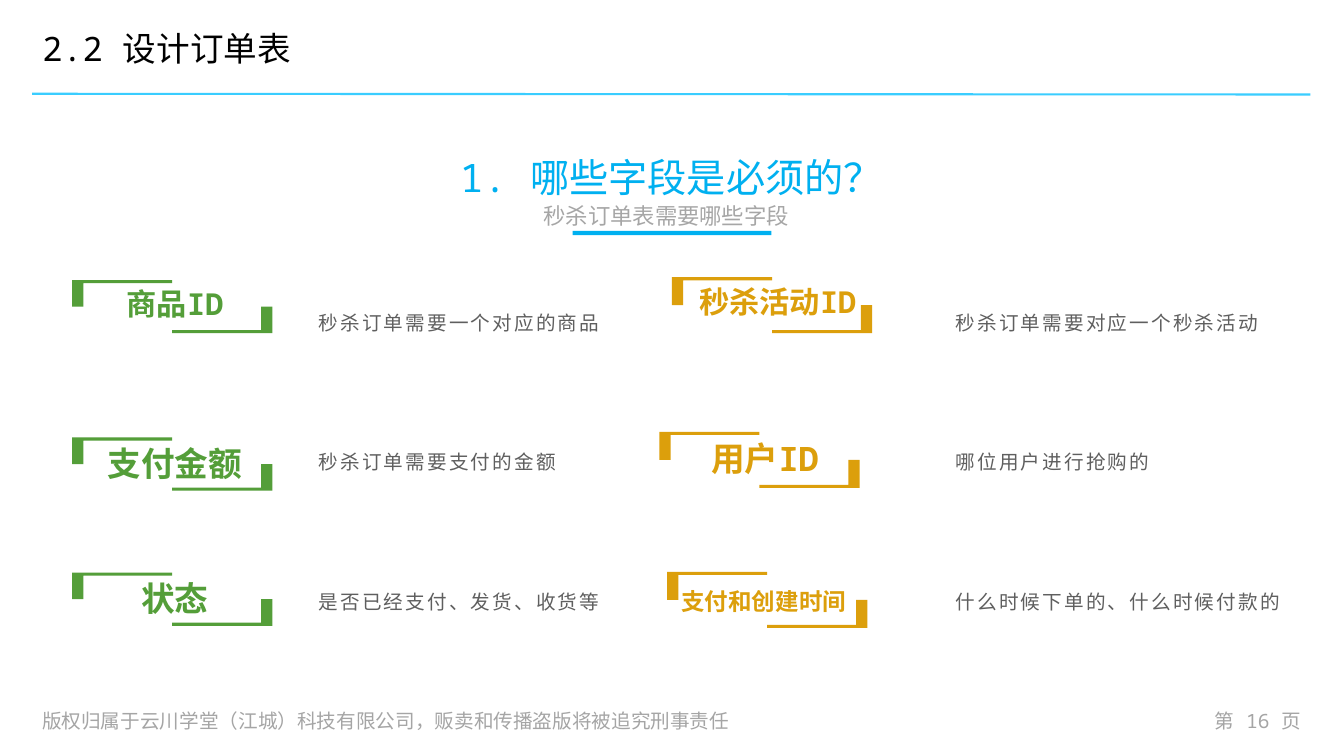
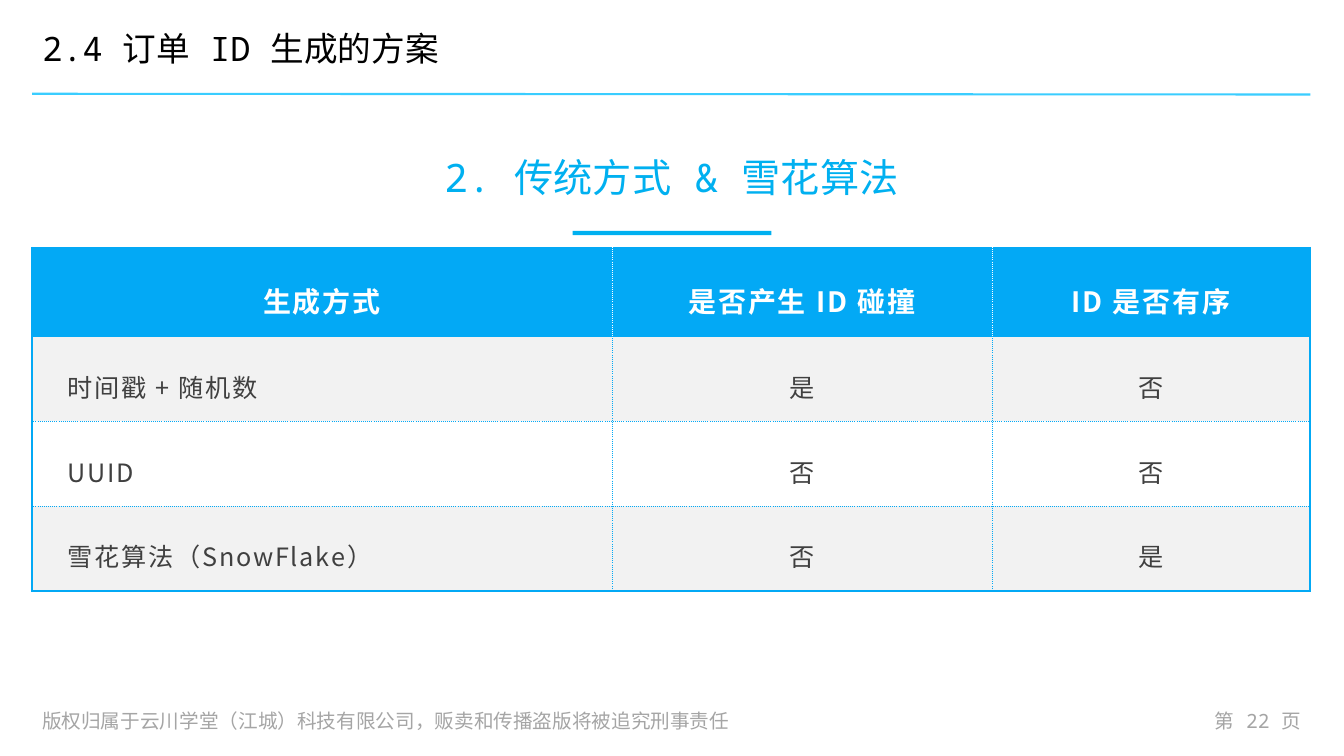
from lxml import etree
from pptx import Presentation
from pptx.dml.color import RGBColor
from pptx.enum.shapes import MSO_CONNECTOR, MSO_SHAPE
from pptx.enum.text import MSO_ANCHOR, MSO_AUTO_SIZE, PP_ALIGN
from pptx.oxml.ns import qn
from pptx.util import Pt

LEFT, MID, RIGHT = PP_ALIGN.LEFT, PP_ALIGN.CENTER, PP_ALIGN.RIGHT
TOP, HALF, LOW = MSO_ANCHOR.TOP, MSO_ANCHOR.MIDDLE, MSO_ANCHOR.BOTTOM
FIT = MSO_AUTO_SIZE.NONE
RECT, LINE = MSO_SHAPE.RECTANGLE, MSO_CONNECTOR.STRAIGHT

MONO, SANS, ARIAL = "Noto Sans Mono", "Noto Sans CJK SC", "Arial"
WHITE, BLACK, GREY, DARK = "FFFFFF", "000000", "A5A5A5", "404040"
CYAN, SKY, BLUE = "00B0F0", "3ACDFF", "03A9F5"
GREEN, GOLD = "549E39", "DC9F0C"

EDGE, WIDE = 23, 913
FOOT = "版权归属于云川学堂（江城）科技有限公司，贩卖和传播盗版将被追究刑事责任"

TITLE = {"face": MONO, "size": 28, "tint": CYAN, "align": MID, "lead": 0.9}
HEAD = {"face": MONO, "size": 24, "tint": BLACK, "lead": 0.9, "gap": 10}
SUB = {"face": MONO, "size": 16, "tint": "A6A6A6", "align": MID, "lead": 0.9, "gap": 10}
NOTE = {"face": MONO, "size": 14, "tint": GREY}
DESC = {"face": ARIAL, "size": 14, "tint": "5F5F5F", "lead": 1.2, "track": 1.5}
CELL = {"face": SANS, "size": 18, "tint": DARK, "lead": 1.2, "track": 1.3}
TOPS = {**CELL, "size": 20, "tint": WHITE, "bold": True, "align": MID}


def paint(hue):
    return RGBColor.from_string(hue)


def apply(item, vals):
    for key, val in vals.items():
        setattr(item, key, val)


def write(frame, words, look):
    para = frame.paragraphs[0]
    apply(para, {
        "alignment": look.get("align", LEFT),
        "line_spacing": look.get("lead", 1.0),
        "space_before": Pt(look.get("gap", 0)),
    })
    run = para.add_run()
    run.text = words
    apply(run.font, {
        "name": look["face"],
        "size": Pt(look["size"]),
        "bold": look.get("bold", False),
    })
    run.font.color.rgb = paint(look["tint"])
    props = run.font._element
    if "track" in look:
        props.set("spc", str(round(look["track"] * 100)))
    east = etree.SubElement(props, qn("a:ea"))
    east.set("typeface", look["face"])


def place(shape, box):
    apply(shape, dict(zip(("left", "top", "width", "height"), map(Pt, box))))


def holder(shape, words, box, look, anchor):
    place(shape, box)
    frame = shape.text_frame
    apply(frame, {"auto_size": FIT, "word_wrap": True, "vertical_anchor": anchor})
    write(frame, words, look)


def label(slide, words, box, look, anchor=TOP, wrap=True):
    frame = slide.shapes.add_textbox(*map(Pt, box)).text_frame
    apply(frame, {"word_wrap": wrap, "vertical_anchor": anchor})
    write(frame, words, look)


def fill(shape, hue):
    shape.shadow.inherit = False
    shape.fill.solid()
    shape.fill.fore_color.rgb = paint(hue)
    shape.line.fill.background()


def rule(slide):
    line = slide.shapes.add_connector(
        LINE, Pt(EDGE), Pt(67), Pt(EDGE + WIDE), Pt(67.5))
    line.line.color.rgb = paint(SKY)
    line.line.width = Pt(1.5)
    etree.SubElement(line._element.spPr, qn("a:effectLst"))


def page(deck, head, title, number, sub=None):
    slide = deck.slides.add_slide(deck.slide_layouts[4])
    rule(slide)
    label(slide, FOOT, (EDGE, 502.5, 559, 25), NOTE, HALF)
    label(slide, f"第 {number} 页", (850, 502.5, 86.5, 25), NOTE)
    slide.shapes[-1].text_frame.paragraphs[0].alignment = RIGHT
    fill(slide.shapes.add_shape(RECT, Pt(409), Pt(165), Pt(142), Pt(3)), CYAN)
    parts = {
        0: (title, (EDGE, 75.5, WIDE, 71.5), TITLE, LOW),
        1: (head, (EDGE, 11, WIDE, 51), HEAD, HALF),
    }
    if sub:
        parts[3] = (sub, (54, 145.5, 844, 19.5), SUB, HALF)
    for shape in list(slide.placeholders):
        spot = shape.placeholder_format.idx
        if spot in parts:
            holder(shape, *parts[spot])
        else:
            shape._element.getparent().remove(shape._element)
    return slide


def bracket(slide, left, top, high, hue):
    wide, thick, bar = 143, 8, 2.2
    half, mid = wide / 2, high / 2

    def spots(pairs):
        return [(Pt(left + x), Pt(top + y)) for x, y in pairs]

    low = spots([(wide - thick, mid), (wide, mid), (wide, high),
                 (half, high), (half, high - bar), (wide - thick, high - bar)])
    high_part = spots([(0, 0), (half, 0), (half, bar),
                       (thick, bar), (thick, mid), (0, mid)])
    pen = slide.shapes.build_freeform(*low[0], scale=1.0)
    pen.add_line_segments(low[1:], close=True)
    pen.move_to(*high_part[0])
    pen.add_line_segments(high_part[1:], close=True)
    fill(pen.convert_to_shape(), hue)


def fields(slide, hue, high, left, wide, items):
    for row, (name, size, spot, shift, text) in enumerate(items):
        x, y = spot
        bracket(slide, x, y, high, hue)
        look = {"face": MONO, "size": size, "tint": hue, "align": MID, "bold": True}
        box = (x + shift[0], y + shift[1], 132, high)
        label(slide, name, box, look, wrap=False)
        label(slide, text, (left, 189.5 + row * 99.7, wide, 78.5), DESC, HALF)


def border(cell, side, hue, solid):
    props = cell._tc.get_or_add_tcPr()
    line = etree.SubElement(props, qn(f"a:ln{side}"))
    line.set("w", str(Pt(1.5 if solid else 0.25)))
    ink = etree.SubElement(line, qn("a:solidFill"))
    etree.SubElement(ink, qn("a:srgbClr")).set("val", hue)
    dash = etree.SubElement(line, qn("a:prstDash"))
    dash.set("val", "solid" if solid else "sysDot")


def grid(slide, rows, cols, highs):
    last, end = len(rows) - 1, len(cols) - 1
    box = (EDGE, 177, sum(cols), sum(highs))
    table = slide.shapes.add_table(len(rows), len(cols), *map(Pt, box)).table
    for col, wide in zip(table.columns, cols):
        col.width = Pt(wide)
    for r, words in enumerate(rows):
        table.rows[r].height = Pt(highs[r])
        for c, word in enumerate(words):
            cell = table.cell(r, c)
            apply(cell, {
                "vertical_anchor": HALF,
                "margin_left": Pt(25), "margin_right": Pt(25),
                "margin_top": Pt(17.3), "margin_bottom": Pt(17.3),
            })
            solid = {"L": c == 0, "R": c == end, "T": r < 2, "B": r in (0, last)}
            for side, thick in solid.items():
                pale = r == 0 and not thick
                border(cell, side, WHITE if pale else BLUE, thick)
            cell.fill.solid()
            back = BLUE if r == 0 else ("F2F2F2" if r % 2 else WHITE)
            cell.fill.fore_color.rgb = paint(back)
            body = {**CELL, "align": MID if c else LEFT}
            write(cell.text_frame, word, body if r else TOPS)


def main():
    deck = Presentation()
    apply(deck, {"slide_width": Pt(960), "slide_height": Pt(540)})

    slide = page(deck, "2.2 设计订单表", "1. 哪些字段是必须的？", 16,
                 "秒杀订单表需要哪些字段")
    fields(slide, GREEN, 38, 220.5, 225, [
        ("商品ID", 21.6, (51.5, 200), (7.5, 0), "秒杀订单需要一个对应的商品"),
        ("支付金额", 24, (51.5, 312.5), (7.5, 0), "秒杀订单需要支付的金额"),
        ("状态", 24, (51.5, 409), (7.5, 0), "是否已经支付、发货、收货等"),
    ])
    fields(slide, GOLD, 40, 675.5, 250, [
        ("秒杀活动ID", 21.6, (480, 198), (9.5, 0.5), "秒杀订单需要对应一个秒杀活动"),
        ("用户ID", 24, (471, 308.5), (9.5, 0.5), "哪位用户进行抢购的"),
        ("支付和创建时间", 16.8, (476.5, 408.5), (3, 7.5), "什么时候下单的、什么时候付款的"),
    ])

    slide = page(deck, "2.4 订单 ID 生成的方案", "2. 传统方式 & 雪花算法", 22)
    grid(slide, [
        ("生成方式", "是否产生 ID 碰撞", "ID 是否有序"),
        ("时间戳 + 随机数", "是", "否"),
        ("UUID", "否", "否"),
        ("雪花算法（SnowFlake）", "否", "是"),
    ], [414, 271.5, 227.5], [62.6, 59.8, 59.8, 59.8])

    deck.save("out.pptx")


if __name__ == "__main__":
    main()
